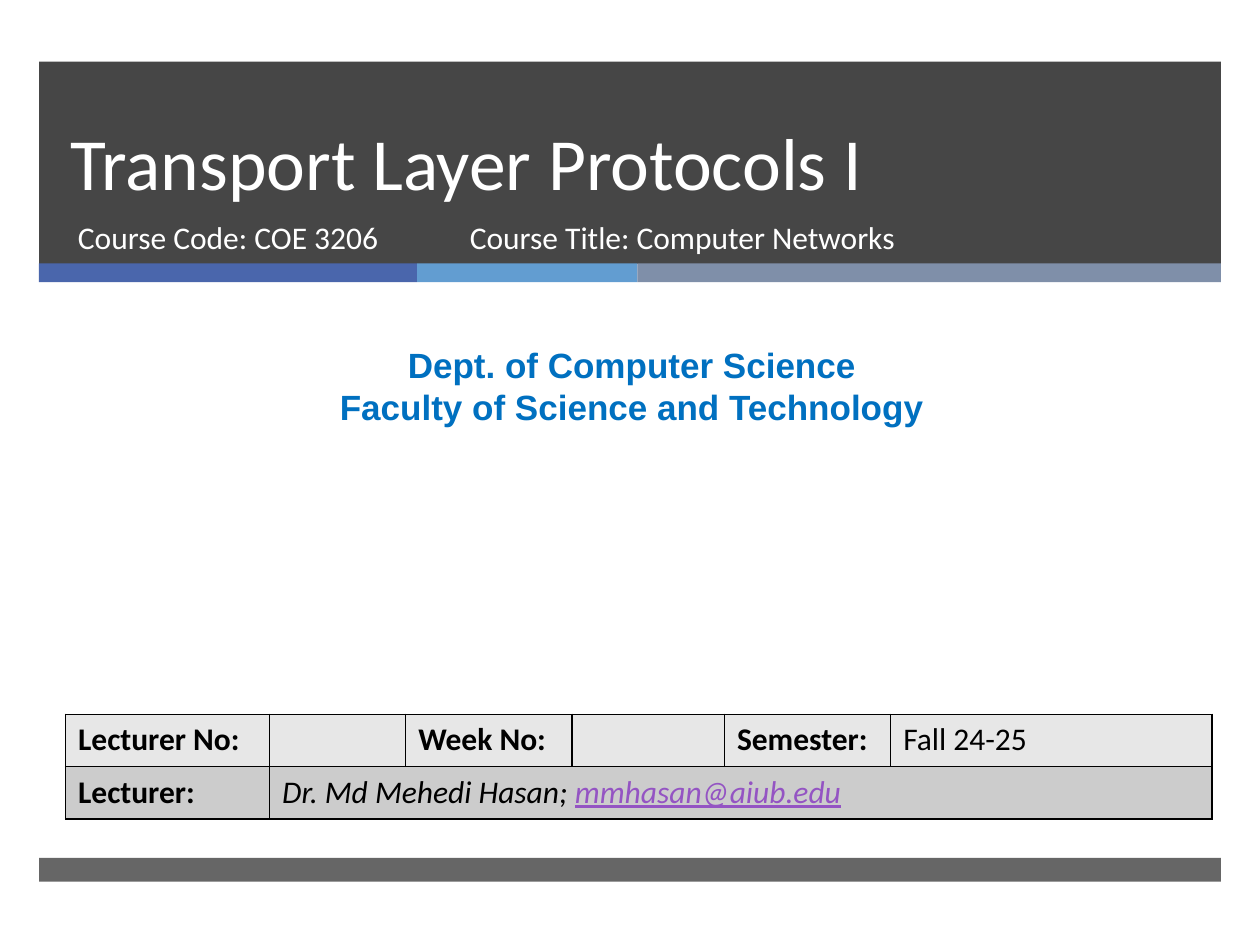
"""Build the opening slide of a lecture on transport layer protocols."""
from dataclasses import dataclass

from lxml import etree
from pptx import Presentation
from pptx.dml.color import RGBColor
from pptx.enum.shapes import MSO_SHAPE
from pptx.enum.text import MSO_ANCHOR, PP_ALIGN
from pptx.oxml.ns import qn
from pptx.util import Inches, Pt

RECTANGLE = MSO_SHAPE.RECTANGLE
TOP, BOTTOM = MSO_ANCHOR.TOP, MSO_ANCHOR.BOTTOM
LEFT, CENTER = PP_ALIGN.LEFT, PP_ALIGN.CENTER


@dataclass(frozen=True)
class Theme:
    dark: str = "262626"
    white: str = "FFFFFF"
    black: str = "000000"
    heading: str = "0070C0"
    link: str = "9454C3"
    stripes: tuple = ("4A66AC", "629DD1", "7F8FA9")
    rows: tuple = ("E7E7E7", "CCCCCC")
    body_font: str = "Calibri"
    heading_font: str = "Arial"
    title_size: int = 42
    heading_size: int = 20
    body_size: int = 18


theme = Theme()
deck = Presentation()
deck.slide_width, deck.slide_height = Inches(10), Inches(7.5)
page = deck.slides.add_slide(deck.slide_layouts[6])


def place(left, top, width, height):
    """Turn percentages of the slide into lengths."""
    across, down = deck.slide_width / 100, deck.slide_height / 100
    return int(left * across), int(top * down), int(width * across), int(height * down)


def style(span, size, color, font=theme.body_font, bold=False, italic=False):
    """Format one run of text."""
    span.font.size, span.font.name = Pt(size), font
    span.font.bold, span.font.italic = bold, italic
    span.font.color.rgb = RGBColor.from_string(color)


margin, band_width = 3.1, 93.8
bands = [
    (margin, 6.53, band_width, 21.4, theme.dark, 85),
    (margin, 90.8, band_width, 2.5, theme.dark, 70),
]
stripe_left = margin
for width, color in zip((30, 17.5, 46.3), theme.stripes):
    bands.append((stripe_left, 27.87, width, 2, color, 100))
    stripe_left += width

for *area, color, opacity in bands:
    band = page.shapes.add_shape(RECTANGLE, *place(*area))
    band.shadow.inherit = False
    band.line.fill.background()
    band.fill.solid()
    band.fill.fore_color.rgb = RGBColor.from_string(color)
    if opacity < 100:
        tint = band.fill._xPr.find(".//" + qn("a:srgbClr"))
        etree.SubElement(tint, qn("a:alpha"), val=str(opacity * 1000))

texts = [
    ((4.6, 6.53, 85.4, 15.87), ["Transport Layer Protocols I"], BOTTOM, LEFT,
     (theme.title_size, theme.white), Pt(46)),
    ((5.2, 22.4, 30.5, 7.07), ["Course Code: COE 3206"], TOP, LEFT,
     (theme.body_size, theme.white), None),
    ((0.8, 35.73, 98.7, 10.27),
     ["Dept. of Computer Science", "Faculty of Science and Technology"], TOP, CENTER,
     (theme.heading_size, theme.heading, theme.heading_font, True), None),
    ((36.3, 22.4, 45.5, 7.07), ["Course Title: Computer Networks"], TOP, LEFT,
     (theme.body_size, theme.white), None),
]
for area, lines, anchor, alignment, look, spacing in texts:
    box = page.shapes.add_textbox(*place(*area))
    frame = box.text_frame
    frame.word_wrap = True
    frame.vertical_anchor = anchor
    frame.text = "\n".join(lines)
    for para in frame.paragraphs:
        para.alignment = alignment
        para.line_spacing = spacing
        style(para.runs[0], *look)

columns = (16.2, 10.8, 13.2, 12.1, 13.2, 25.5)
entries = (
    ("Lecturer No:", "", "Week No:", "", "Semester:", "Fall 24-25"),
    ("Lecturer:", "Dr. Md Mehedi Hasan; ", "", "", "", ""),
)
table = page.shapes.add_table(2, len(columns), *place(5.2, 75.6, sum(columns), 11.07)).table
for column, width in zip(table.columns, columns):
    column.width = int(width * deck.slide_width / 100)

for row, (words, fill) in enumerate(zip(entries, theme.rows)):
    for column, word in enumerate(words):
        cell = table.cell(row, column)
        properties = cell._tc.get_or_add_tcPr()
        for side in ("lnL", "lnR", "lnT", "lnB"):
            edge = etree.SubElement(properties, qn("a:" + side), w=str(Pt(1)))
            paint = etree.SubElement(edge, qn("a:solidFill"))
            etree.SubElement(paint, qn("a:srgbClr"), val=theme.black)
        cell.fill.solid()
        cell.fill.fore_color.rgb = RGBColor.from_string(fill)
        para = cell.text_frame.paragraphs[0]
        para.font.size = Pt(theme.body_size)
        if word:
            span = para.add_run()
            span.text = word
            style(span, theme.body_size, theme.black,
                  bold=word.endswith(":"), italic=word.endswith("; "))

lecturer = table.cell(1, 1)
lecturer.merge(table.cell(1, 5))
address = lecturer.text_frame.paragraphs[0].add_run()
address.text = "mmhasan@aiub.edu"
style(address, theme.body_size, theme.link, italic=True)
address.font.underline = True

deck.save("out.pptx")
